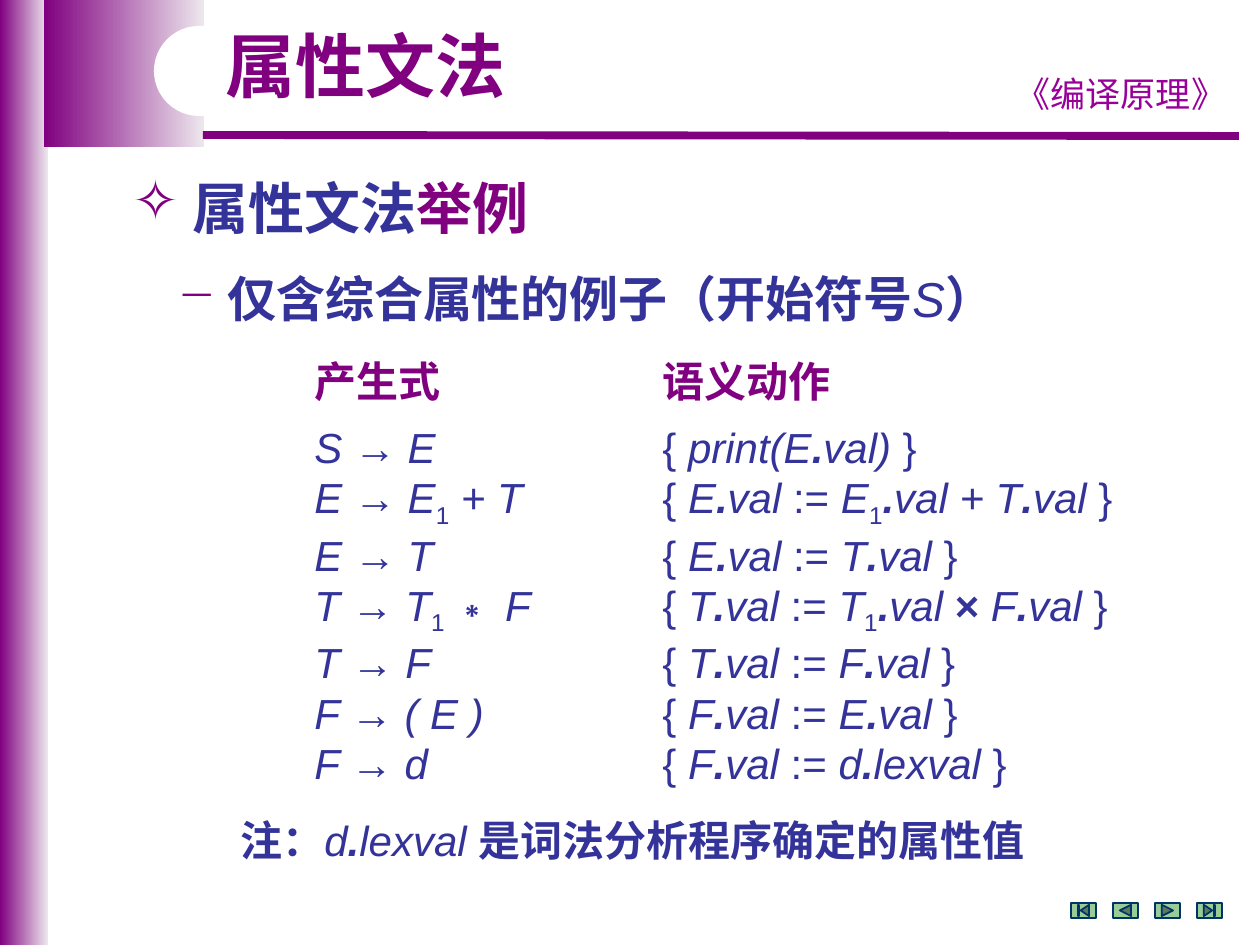
from lxml.etree import SubElement
from pptx import Presentation
from pptx.dml.color import RGBColor
from pptx.enum.shapes import MSO_CONNECTOR, MSO_SHAPE
from pptx.enum.text import MSO_ANCHOR, MSO_AUTO_SIZE, PP_ALIGN
from pptx.oxml.ns import qn
from pptx.util import Pt

PX = 914400 / 126
CJK = "Noto Sans CJK SC"
COLORS = {
    "purple": "800080",
    "pale": "EDE7ED",
    "violet": "990099",
    "indigo": "333399",
    "white": "FFFFFF",
    "green": "99CC99",
    "navy": "003366",
}
TOGGLES = {"*": "bold", "/": "italic", "~": "sub"}

PRODUCTIONS = [
    "/S /→/ E/",
    "/E /→/ E/~1~/ + T/",
    "/E /→/ T/",
    "/T /→/ T/~1 ~∗/ F/",
    "/T /→ /F/",
    "/F /→/ ( E )/",
    "/F /→/ d/",
]
ACTIONS = [
    "{ /print(E*.*val) /}",
    "{ /E*.*val /:=/ E/~1~/*.*val + T*.*val/ }",
    "{ /E*.*val /:=/ T*.*val/ }",
    "{ /T*.*val /:=/ T/~1~/*.*val /*×*/ F*.*val/ }",
    "{ /T*.*val /:=/ F*.*val/ }",
    "{ /F*.*val /:=/ E*.*val/ }",
    "{ /F*.*val /:=/ d*.*lexval/ }",
]


def emu(px):
    return round(px * PX)


def rgb(name):
    return RGBColor.from_string(COLORS[name])


def parse_markup(markup):
    state = dict.fromkeys(TOGGLES.values(), False)
    piece = ""
    for char in markup:
        if char in TOGGLES:
            if piece:
                yield piece, dict(state)
            piece = ""
            state[TOGGLES[char]] = not state[TOGGLES[char]]
        else:
            piece += char
    if piece:
        yield piece, dict(state)


def add_text(paragraph, markup, size=24, color="indigo", font="Arial"):
    for piece, state in parse_markup(markup):
        run = paragraph.add_run()
        run.text = piece
        run.font.size = Pt(size)
        run.font.name = font
        run.font.bold = state["bold"]
        run.font.italic = state["italic"]
        run.font.color.rgb = rgb(color)
        properties = run._r.get_or_add_rPr()
        SubElement(properties, qn("a:ea")).set("typeface", CJK)
        if state["sub"]:
            properties.set("baseline", "-25000")


class SlideBuilder:
    def __init__(self, slide):
        self.shapes = slide.shapes

    def shape(self, kind, box, fill, line=None):
        shape = self.shapes.add_shape(kind, *map(emu, box))
        shape.shadow.inherit = False
        if isinstance(fill, tuple):
            shape.fill.gradient()
            shape.fill.gradient_angle = 0
            for stop, color in zip(shape.fill.gradient_stops, fill):
                stop.color.rgb = rgb(color)
        else:
            shape.fill.solid()
            shape.fill.fore_color.rgb = rgb(fill)
        if line:
            shape.line.color.rgb = rgb(line)
            shape.line.width = Pt(1)
        else:
            shape.line.fill.background()
        return shape

    def rule(self, start, end, color, width):
        rule = self.shapes.add_connector(
            MSO_CONNECTOR.STRAIGHT, *map(emu, start + end))
        rule.line.color.rgb = rgb(color)
        rule.line.width = Pt(width)
        SubElement(rule._element.spPr, qn("a:effectLst"))

    def text(self, box, parts, bullet=None, align=PP_ALIGN.LEFT, spacing=None):
        frame = self.shapes.add_textbox(*map(emu, box)).text_frame
        frame.word_wrap = True
        frame.vertical_anchor = MSO_ANCHOR.MIDDLE
        frame.auto_size = MSO_AUTO_SIZE.SHAPE_TO_FIT_TEXT
        paragraph = frame.paragraphs[0]
        paragraph.alignment = align
        if spacing:
            paragraph.line_spacing = spacing
        if bullet:
            properties = paragraph._p.get_or_add_pPr()
            properties.set("marL", "0")
            properties.set("indent", "0")
            SubElement(properties, qn("a:buChar")).set("char", bullet)
        for markup, style in parts:
            add_text(paragraph, markup, **style)
        return frame

    def column(self, box, heading, rows):
        frame = self.text(box, [(f"*{heading}*", {"color": "purple"})])
        frame.paragraphs[0].space_after = Pt(9)
        for row in rows:
            add_text(frame.add_paragraph(), row)


def main():
    presentation = Presentation()
    presentation.slide_width = emu(1260)
    presentation.slide_height = emu(945)
    slide = presentation.slides.add_slide(presentation.slide_layouts[6])
    builder = SlideBuilder(slide)

    fade = ("purple", "pale")
    builder.shape(MSO_SHAPE.RECTANGLE, (0, 0, 48, 945), fade)
    builder.shape(MSO_SHAPE.RECTANGLE, (44, 0, 160, 147), fade)
    builder.rule((203, 135), (1239, 136), "purple", 4.5)
    builder.text((997, 66, 248, 54),
                 [("《编译原理》", {"size": 20, "color": "violet", "font": CJK})],
                 align=PP_ALIGN.CENTER)
    title_plate = builder.shape(
        MSO_SHAPE.ROUNDED_RECTANGLE, (154, 26, 456, 90), "white")
    title_plate.adjustments[0] = 0.5

    builder.text((213, 26, 318, 88),
                 [("*属性文法*", {"size": 40, "color": "purple"})], spacing=0.9)
    builder.text((120, 168, 983, 79),
                 [("* *", {"size": 32, "color": "purple"}),
                  ("*属性文法*", {"size": 32}),
                  ("*举例*", {"size": 32, "color": "purple"})], bullet="✧")
    builder.text((165, 262, 937, 72),
                 [("* *", {"size": 28, "color": "purple"}),
                  ("*仅含综合属性的例子（开始符号*/S/*）*", {"size": 28})],
                 bullet="−")
    builder.column((302, 353, 297, 437), "产生式", PRODUCTIONS)
    builder.column((650, 353, 507, 437), "语义动作", ACTIONS)
    builder.text((228, 808, 874, 63),
                 [("*注：*/d*.*lexval /*是词法分析程序确定的属性值*", {})])

    buttons = [
        MSO_SHAPE.ACTION_BUTTON_BEGINNING,
        MSO_SHAPE.ACTION_BUTTON_BACK_OR_PREVIOUS,
        MSO_SHAPE.ACTION_BUTTON_FORWARD_OR_NEXT,
        MSO_SHAPE.ACTION_BUTTON_END,
    ]
    for index, button in enumerate(buttons):
        builder.shape(button, (1071 + 42 * index, 903, 25, 15), "green", "navy")

    presentation.save("out.pptx")


if __name__ == "__main__":
    main()
